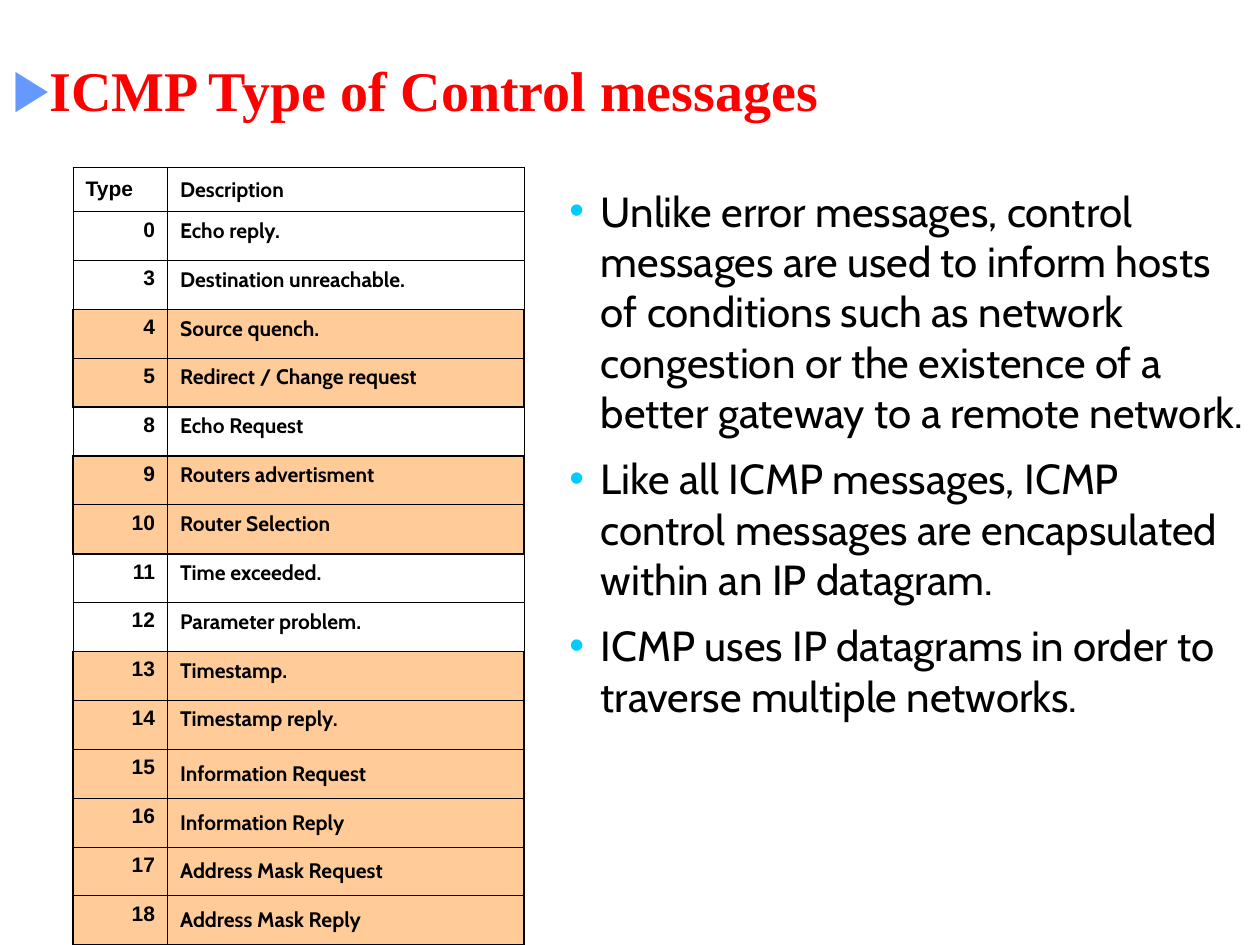
from typing import NamedTuple

from lxml.etree import SubElement
from pptx import Presentation
from pptx.dml.color import RGBColor
from pptx.enum.text import MSO_ANCHOR as Anchor, PP_ALIGN as Align
from pptx.oxml.ns import qn
from pptx.util import Inches, Pt

COLORS = {
    "title": "FF0000",
    "title_bullet": "6699FF",
    "bullet": "00CCFF",
    "text": "000000",
    "border": "000000",
    "control": "FFCC99",
}
THIN, THICK = Pt(0.45), Pt(1.08)
HEADER_HEIGHT, TABLE_HEIGHT = 0.35, 6.17
CELL_INDENT = 0.38


class Message(NamedTuple):
    type: str
    description: str
    control: bool = False
    anchor: Anchor = Anchor.TOP


MESSAGES = [
    Message("0", "Echo reply."),
    Message("3", "Destination unreachable."),
    Message("4", "Source quench.", True),
    Message("5", "Redirect / Change request", True),
    Message("8", "Echo Request"),
    Message("9", "Routers advertisment", True),
    Message("10", "Router Selection", True),
    Message("11", "Time exceeded."),
    Message("12", "Parameter problem."),
    Message("13", "Timestamp.", True),
    Message("14", "Timestamp reply.", True),
    Message("15", "Information Request", True, Anchor.MIDDLE),
    Message("16", "Information Reply", True, Anchor.MIDDLE),
    Message("17", "Address Mask Request", True, Anchor.MIDDLE),
    Message("18", "Address Mask Reply", True, Anchor.MIDDLE),
]
NOTES = [
    "Unlike error messages, control messages are used to inform hosts of conditions "
    "such as network congestion or the existence of a better gateway to a remote network.",
    "Like all ICMP messages, ICMP control messages are encapsulated within an IP datagram.",
    "ICMP uses IP datagrams in order to traverse multiple networks.",
]
TITLE_FONT = {"name": "Times New Roman", "size": Pt(32), "bold": True}
NOTE_FONT = {"name": "Cabin", "size": Pt(24), "bold": False}
TYPE_FONT = {"name": "Arial", "size": Pt(12), "bold": True}
DESCRIPTION_FONT = {**TYPE_FONT, "name": "Cabin"}


def write(paragraph, text: str, font: dict, color: str = "text") -> None:
    run = paragraph.add_run()
    run.text = text
    for name, value in font.items():
        setattr(run.font, name, value)
    run.font.color.rgb = RGBColor.from_string(COLORS[color])


def set_hanging(paragraph, indent: float) -> None:
    properties = paragraph._p.get_or_add_pPr()
    properties.set("marL", str(Inches(indent)))
    properties.set("indent", str(-Inches(indent)))


def add_bullet(paragraph, character: str, color: str) -> None:
    properties = paragraph._p.get_or_add_pPr()
    bullet_color = SubElement(properties, qn("a:buClr"))
    SubElement(bullet_color, qn("a:srgbClr"), val=COLORS[color])
    SubElement(properties, qn("a:buFont"), typeface="Arial")
    SubElement(properties, qn("a:buChar"), char=character)


def add_text_frame(slide, left: float, top: float, width: float, height: float, anchor: Anchor):
    box = slide.shapes.add_textbox(Inches(left), Inches(top), Inches(width), Inches(height))
    frame = box.text_frame
    frame.word_wrap = True
    frame.vertical_anchor = anchor
    return frame


def set_borders(cell, widths: dict) -> None:
    properties = cell._tc.get_or_add_tcPr()
    for side, width in widths.items():
        line = SubElement(properties, qn(f"a:ln{side}"), w=str(width))
        fill = SubElement(line, qn("a:solidFill"))
        SubElement(fill, qn("a:srgbClr"), val=COLORS["border"])


def fill_row(table, index: int, rows: list[Message]) -> None:
    message = rows[index]
    # A thick line frames each block of shaded rows
    above = index > 0 and rows[index - 1].control
    below = index + 1 < len(rows) and rows[index + 1].control
    outer = THICK if message.control else THIN
    top = THICK if above != message.control else THIN
    bottom = THICK if below != message.control else THIN
    type_align = Align.RIGHT if index else Align.LEFT
    type_anchor = Anchor.TOP if index else Anchor.MIDDLE
    columns = [
        (message.type, TYPE_FONT, type_align, type_anchor, outer, THIN),
        (message.description, DESCRIPTION_FONT, Align.LEFT, message.anchor, THIN, outer),
    ]
    for column, (text, font, align, anchor, left, right) in enumerate(columns):
        cell = table.cell(index, column)
        cell.vertical_anchor = anchor
        set_borders(cell, {"L": left, "R": right, "T": top, "B": bottom})
        if message.control:
            cell.fill.solid()
            cell.fill.fore_color.rgb = RGBColor.from_string(COLORS["control"])
        else:
            cell.fill.background()
        paragraph = cell.text_frame.paragraphs[0]
        paragraph.alignment = align
        set_hanging(paragraph, CELL_INDENT)
        write(paragraph, text, font)


def add_message_table(slide) -> None:
    rows = [Message("Type", "Description", anchor=Anchor.MIDDLE), *MESSAGES]
    table = slide.shapes.add_table(
        len(rows), 2, Inches(0.58), Inches(1.33), Inches(3.58), Inches(TABLE_HEIGHT)
    ).table
    table.first_row = table.horz_banding = False
    for column, width in zip(table.columns, (0.75, 2.83)):
        column.width = Inches(width)
    message_height = (TABLE_HEIGHT - HEADER_HEIGHT) / len(MESSAGES)
    for index in range(len(rows)):
        table.rows[index].height = Inches(message_height if index else HEADER_HEIGHT)
        fill_row(table, index, rows)


def main() -> None:
    presentation = Presentation()
    presentation.slide_width, presentation.slide_height = Inches(10), Inches(7.5)
    slide = presentation.slides.add_slide(presentation.slide_layouts[6])

    # Title
    title = add_text_frame(slide, 0, 0.33, 10, 0.75, Anchor.MIDDLE).paragraphs[0]
    add_bullet(title, "▶", "title_bullet")
    write(title, "ICMP Type of Control messages", TITLE_FONT, "title")

    # Message types
    add_message_table(slide)

    # Notes beside the table
    frame = add_text_frame(slide, 4.42, 1.42, 5.58, 5.55, Anchor.TOP)
    for index, note in enumerate(NOTES):
        paragraph = frame.add_paragraph() if index else frame.paragraphs[0]
        set_hanging(paragraph, 0.25)
        add_bullet(paragraph, "•", "bullet")
        if index:
            paragraph.space_before = Pt(9)
        write(paragraph, note, NOTE_FONT)

    presentation.save("out.pptx")


if __name__ == "__main__":
    main()
